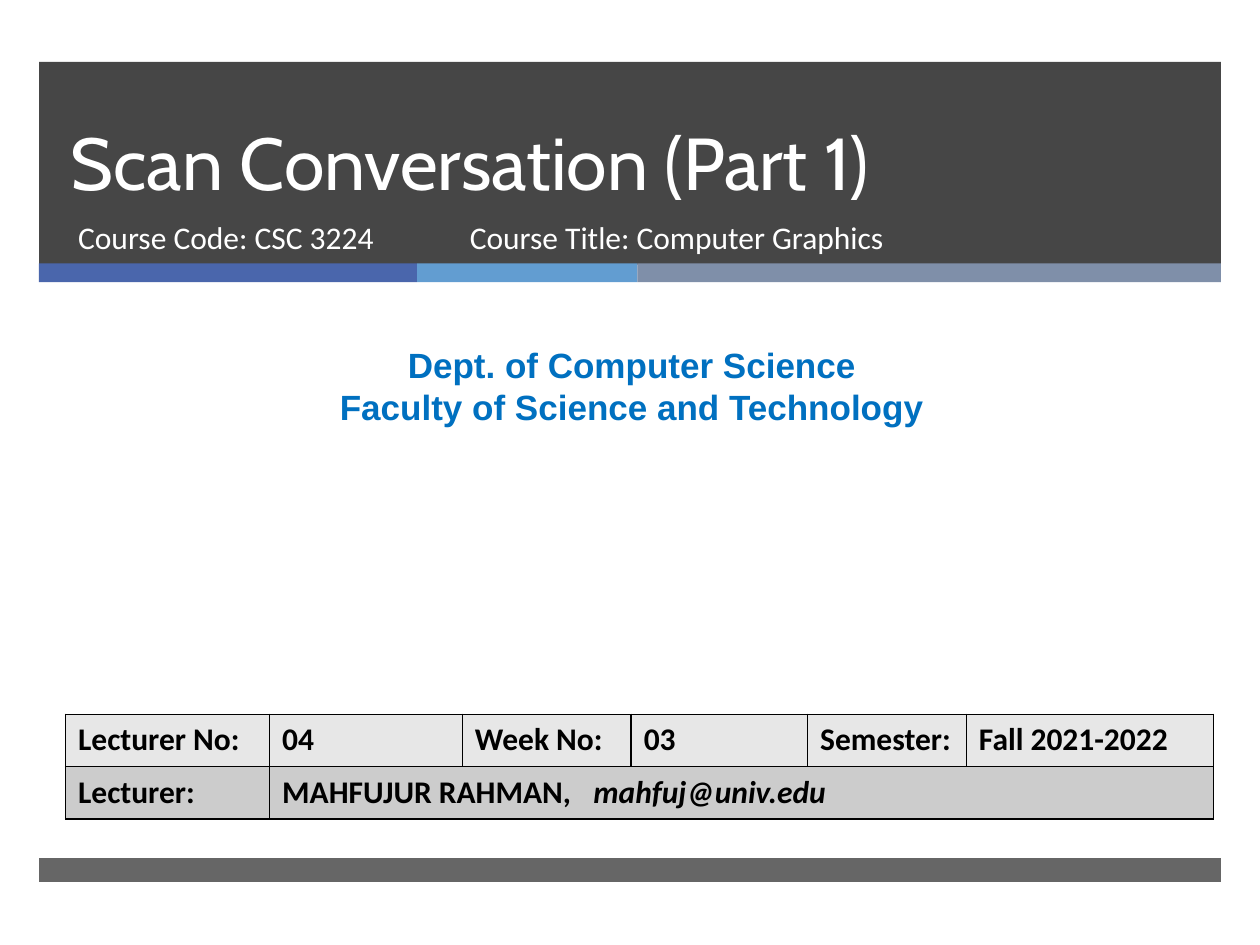
import pptx
import pptx.dml.color
import pptx.enum.shapes
import pptx.enum.text
import pptx.oxml
import pptx.oxml.ns
import pptx.util

COLUMNS, ROWS = 100, 75
COLORS = {
    "ink": "262626", "white": "FFFFFF", "black": "000000",
    "indigo": "4A66AC", "sky": "629DD1", "slate": "7F8FA9",
    "heading": "0070C0", "light": "E7E7E7", "dark": "CCCCCC",
}
ALIGN = pptx.enum.text.PP_ALIGN
ANCHOR = pptx.enum.text.MSO_ANCHOR
NAMESPACE = pptx.oxml.ns.nsdecls("a")


def color(name):
    return pptx.dml.color.RGBColor.from_string(COLORS[name])


class SlideBuilder:
    def __init__(self, deck):
        self.page = deck.slides.add_slide(deck.slide_layouts[0])
        self.column = deck.slide_width / COLUMNS
        self.row = deck.slide_height / ROWS

    def place(self, left, top, width, height):
        return [round(value * unit) for value, unit in
                zip((left, top, width, height), (self.column, self.row) * 2)]

    def bar(self, area, fill, opacity=100):
        shape = self.page.shapes.add_shape(
            pptx.enum.shapes.MSO_SHAPE.RECTANGLE, *self.place(*area))
        shape.shadow.inherit = False
        shape.line.fill.background()
        shape.fill.solid()
        shape.fill.fore_color.rgb = color(fill)
        if opacity < 100:
            tint = shape.element.spPr.find(".//" + pptx.oxml.ns.qn("a:srgbClr"))
            tint.append(pptx.oxml.parse_xml(
                f'<a:alpha {NAMESPACE} val="{opacity * 1000}"/>'))

    def span(self, para, text, size, font="Calibri", ink="white", bold=False, italic=False):
        span = para.add_run()
        span.text = text
        span.font.size = pptx.util.Pt(size)
        span.font.name = font
        span.font.color.rgb = color(ink)
        span.font.bold = bold
        span.font.italic = italic

    def fill_text(self, frame, lines, size, align=ALIGN.LEFT, anchor=ANCHOR.TOP, **style):
        frame.word_wrap = True
        frame.auto_size = pptx.enum.text.MSO_AUTO_SIZE.NONE
        frame.vertical_anchor = anchor
        for index, line in enumerate(lines):
            para = frame.add_paragraph() if index else frame.paragraphs[0]
            para.alignment = align
            para.space_before = pptx.util.Pt(0)
            self.span(para, line, size, **style)

    def placeholder(self, index, area, text, size, **style):
        box = self.page.placeholders[index]
        box.left, box.top, box.width, box.height = self.place(*area)
        box.element.getparent().append(box.element)
        self.fill_text(box.text_frame, [text], size, **style)
        return box

    def text(self, area, lines, size, **style):
        box = self.page.shapes.add_textbox(*self.place(*area))
        self.fill_text(box.text_frame, lines, size, **style)

    def border(self, cell):
        properties = cell._tc.get_or_add_tcPr()
        for position, side in enumerate(("lnL", "lnR", "lnT", "lnB")):
            properties.insert(position, pptx.oxml.parse_xml(
                f'<a:{side} {NAMESPACE} w="12700"><a:solidFill>'
                f'<a:srgbClr val="{COLORS["black"]}"/></a:solidFill></a:{side}>'))

    def table(self, left, top, widths, height, rows, fills):
        area = self.place(left, top, sum(widths), height * len(rows))
        table = self.page.shapes.add_table(len(rows), len(widths), *area).table
        for column, width in zip(table.columns, widths):
            column.width = round(width * self.column)
        for row, (texts, fill) in enumerate(zip(rows, fills)):
            for index in range(len(widths)):
                cell = table.cell(row, index)
                cell.fill.solid()
                cell.fill.fore_color.rgb = color(fill)
                self.border(cell)
            for index, text in enumerate(texts):
                para = table.cell(row, index).text_frame.paragraphs[0]
                self.span(para, text, 18, ink="black", bold=True)
            if len(texts) < len(widths):
                table.cell(row, len(texts) - 1).merge(table.cell(row, len(widths) - 1))
        return table

    def tab_stop(self, para, position):
        para._p.get_or_add_pPr().append(pptx.oxml.parse_xml(
            f'<a:tabLst {NAMESPACE}><a:tab pos="{round(position * self.column)}"'
            ' algn="l"/></a:tabLst>'))


def main():
    deck = pptx.Presentation()
    deck.slide_width = pptx.util.Inches(10)
    deck.slide_height = pptx.util.Inches(7.5)
    slide = SlideBuilder(deck)

    margin, full = 3.1, 93.8
    slide.bar((margin, 4.9, full, 16.1), "ink", 85)
    left = margin
    for width, fill in ((30, "indigo"), (17.5, "sky"), (46.3, "slate")):
        slide.bar((left, 20.9, width, 1.5), fill)
        left += width
    slide.bar((margin, 68.1, full, 1.9), "ink", 70)

    title = slide.placeholder(0, (4.6, 4.9, 85.4, 11.9), "Scan Conversation (Part 1)",
                              42, font="Cabin", anchor=ANCHOR.BOTTOM)
    title.text_frame.paragraphs[0].line_spacing = pptx.util.Pt(46)
    slide.placeholder(1, (5.2, 16.8, 30.5, 5.3), "Course Code: CSC 3224", 18)
    slide.text((0.8, 26.8, 98.7, 7.7),
               ["Dept. of Computer Science", "Faculty of Science and Technology"],
               20, font="Arial", ink="heading", bold=True, align=ALIGN.CENTER)

    table = slide.table(
        5.2, 56.7, (16.2, 15.3, 13.4, 14, 12.6, 19.6), 4.15,
        [["Lecturer No:", "04", "Week No:", "03", "Semester:", "Fall 2021-2022"],
         ["Lecturer:", "MAHFUJUR RAHMAN,"]],
        ["light", "dark"])
    contact = table.cell(1, 1).text_frame.paragraphs[0]
    slide.tab_stop(contact, 24.7)
    slide.span(contact, "\tmahfuj@univ.edu", 18, ink="black", bold=True, italic=True)

    slide.text((36.3, 16.8, 45.5, 5.3), ["Course Title: Computer Graphics"], 18)
    deck.save("out.pptx")


if __name__ == "__main__":
    main()
